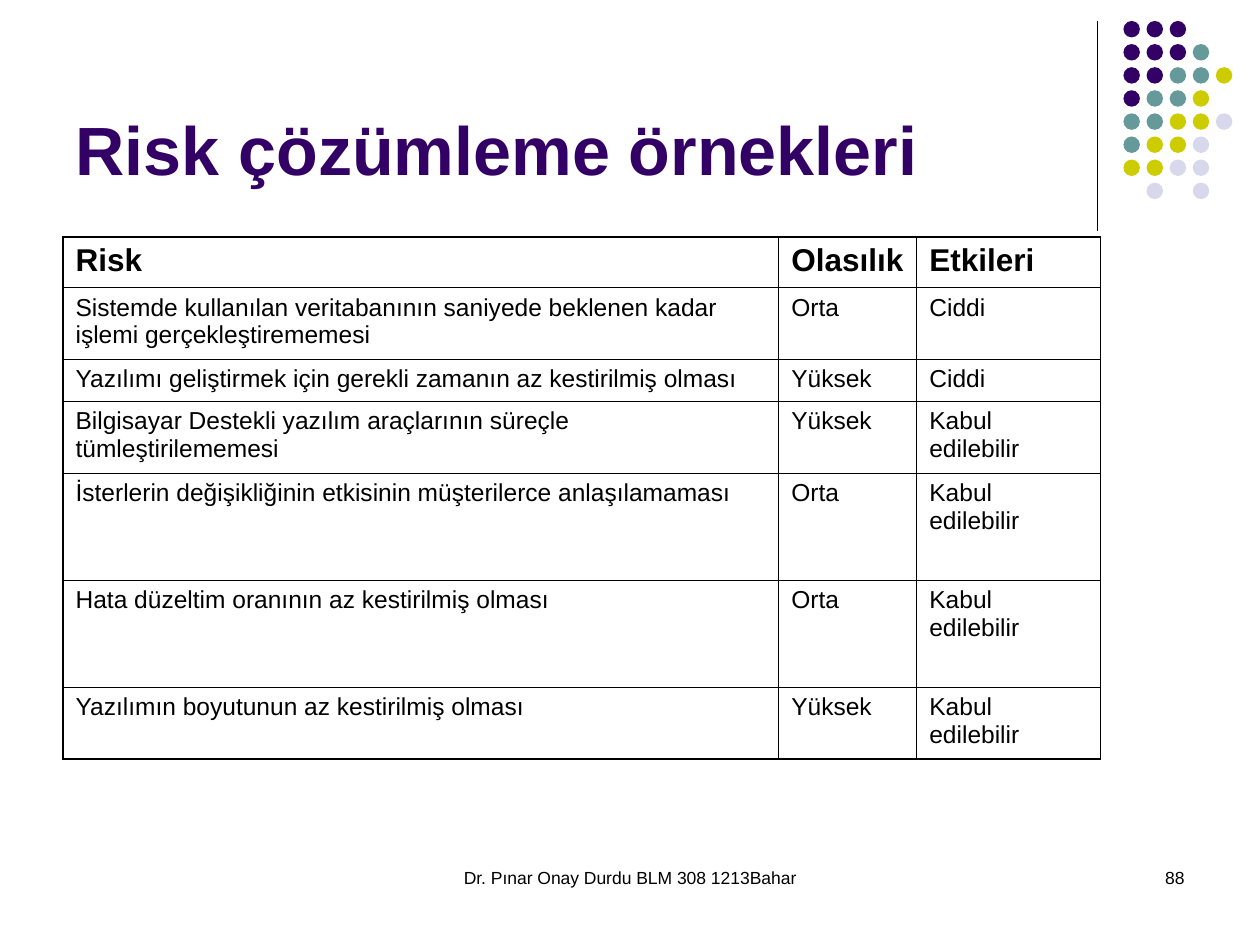
from dataclasses import dataclass
from lxml.etree import SubElement
from pptx import Presentation
from pptx.dml.color import RGBColor
from pptx.enum.shapes import MSO_CONNECTOR as Connector, MSO_SHAPE as Shape
from pptx.enum.text import MSO_ANCHOR as Anchor, MSO_AUTO_SIZE as AutoSize, PP_ALIGN as Align
from pptx.oxml import parse_xml
from pptx.oxml.ns import nsdecls, qn
from pptx.util import Pt


@dataclass(frozen=True)
class Theme:
    font: str = "Arial"
    ink: str = "000000"
    purple: str = "330066"
    teal: str = "669999"
    olive: str = "CCCC00"
    lilac: str = "D8D8EC"
    title: float = 39
    header: float = 18
    body: float = 14
    footer: float = 10
    thin: float = 0.45
    thick: float = 1.08
    rule: float = 0.74


class SlideBuilder:
    def __init__(self, deck, theme):
        self.theme = theme
        self.page = deck.slides.add_slide(deck.slide_layouts[5])

    def add_text(self, frame, text, size, color, bold=False, align=Align.LEFT, before=0):
        para = frame.paragraphs[0]
        para.alignment = align
        para.space_before = Pt(before)
        span = para.add_run()
        span.text = text
        formats = {"name": self.theme.font, "size": Pt(size), "bold": bold}
        for name, value in formats.items():
            setattr(span.font, name, value)
        span.font.color.rgb = RGBColor.from_string(color)

    def place(self, box, left, top, width, height):
        values = {"left": left, "top": top, "width": width, "height": height}
        for name, value in values.items():
            setattr(box, name, Pt(value))

    def set_frame(self, frame, anchor):
        formats = {
            "word_wrap": True, "auto_size": AutoSize.NONE, "vertical_anchor": anchor,
            "margin_left": Pt(7.2), "margin_right": Pt(7.2),
            "margin_top": Pt(3.6), "margin_bottom": Pt(3.6),
        }
        for name, value in formats.items():
            setattr(frame, name, value)

    def title(self, text, *area):
        box = self.page.shapes.title
        self.place(box, *area)
        self.set_frame(box.text_frame, Anchor.BOTTOM)
        self.add_text(box.text_frame, text, self.theme.title, self.theme.purple, bold=True)

    def label(self, text, align, *area):
        box = self.page.shapes.add_textbox(*map(Pt, area))
        self.set_frame(box.text_frame, Anchor.TOP)
        self.add_text(box.text_frame, text, self.theme.footer, self.theme.ink, align=align)

    def line(self, *ends):
        line = self.page.shapes.add_connector(Connector.STRAIGHT, *map(Pt, ends))
        line.line.color.rgb = RGBColor.from_string(self.theme.ink)
        line.line.width = Pt(self.theme.rule)
        SubElement(line._element.spPr, qn("a:effectLst"))

    def dots(self, pattern, left, top, size, pitch):
        colors = {"P": self.theme.purple, "T": self.theme.teal,
                  "O": self.theme.olive, "L": self.theme.lilac}
        group = self.page.shapes.add_group_shape()
        for row, marks in enumerate(pattern):
            for column, mark in enumerate(marks):
                if mark not in colors:
                    continue
                area = left + column * pitch, top + row * pitch, size, size
                dot = group.shapes.add_shape(Shape.OVAL, *map(Pt, area))
                dot.shadow.inherit = False
                dot.fill.solid()
                dot.fill.fore_color.rgb = RGBColor.from_string(colors[mark])
                dot.line.fill.background()

    def borders(self, cell, outer):
        properties = cell._tc.get_or_add_tcPr()
        for index, (side, is_outer) in enumerate(outer.items()):
            width = Pt(self.theme.thick if is_outer else self.theme.thin)
            properties.insert(index, parse_xml(
                f'<a:ln{side} {nsdecls("a")} w="{width}"><a:solidFill>'
                f'<a:srgbClr val="{self.theme.ink}"/></a:solidFill></a:ln{side}>'))

    def table(self, rows, left, top, widths, heights):
        area = left, top, sum(widths), sum(heights)
        table = self.page.shapes.add_table(len(rows), len(widths), *map(Pt, area)).table
        table.first_row = table.horz_banding = False
        for column, width in zip(table.columns, widths):
            column.width = Pt(width)
        for row, height in zip(table.rows, heights):
            row.height = Pt(height)
        for y, texts in enumerate(rows):
            size = self.theme.body if y else self.theme.header
            for x, text in enumerate(texts):
                cell = table.cell(y, x)
                cell.fill.background()
                self.borders(cell, {"L": x == 0, "R": x == len(widths) - 1,
                                    "T": y == 0, "B": y == len(rows) - 1})
                self.add_text(cell.text_frame, text, size, self.theme.ink,
                              bold=y == 0, before=size / 4)


RISKS = [
    ("Risk", "Olasılık", "Etkileri"),
    ("Sistemde kullanılan veritabanının saniyede beklenen kadar işlemi gerçekleştirememesi",
     "Orta", "Ciddi"),
    ("Yazılımı geliştirmek için gerekli zamanın az kestirilmiş olması", "Yüksek", "Ciddi"),
    ("Bilgisayar Destekli yazılım araçlarının süreçle tümleştirilememesi",
     "Yüksek", "Kabul edilebilir"),
    ("İsterlerin değişikliğinin etkisinin müşterilerce anlaşılamaması",
     "Orta", "Kabul edilebilir"),
    ("Hata düzeltim oranının az kestirilmiş olması", "Orta", "Kabul edilebilir"),
    ("Yazılımın boyutunun az kestirilmiş olması", "Yüksek", "Kabul edilebilir"),
]
DOTS = ["PPP", "PPPT", "PPTTO", "PTTO", "TTOOL", "TOOL", "OOLL", ".L.L"]

deck = Presentation()
deck.slide_width, deck.slide_height = Pt(720), Pt(540)
slide = SlideBuilder(deck, Theme())
slide.line(627, 12, 627, 132)
slide.dots(DOTS, left=642, top=12, size=9.4, pitch=13.2)
slide.label("Dr. Pınar Onay Durdu BLM 308 1213Bahar", Align.CENTER, 246, 492, 228, 36)
slide.label("88", Align.RIGHT, 516, 492, 168, 36)
slide.title("Risk çözümleme örnekleri", 36, 9.5, 594, 102)
slide.table(RISKS, left=36, top=135.5, widths=[409, 78.9, 105],
            heights=[28.8, 41, 24, 41, 61.2, 61.2, 41])
deck.save("out.pptx")
